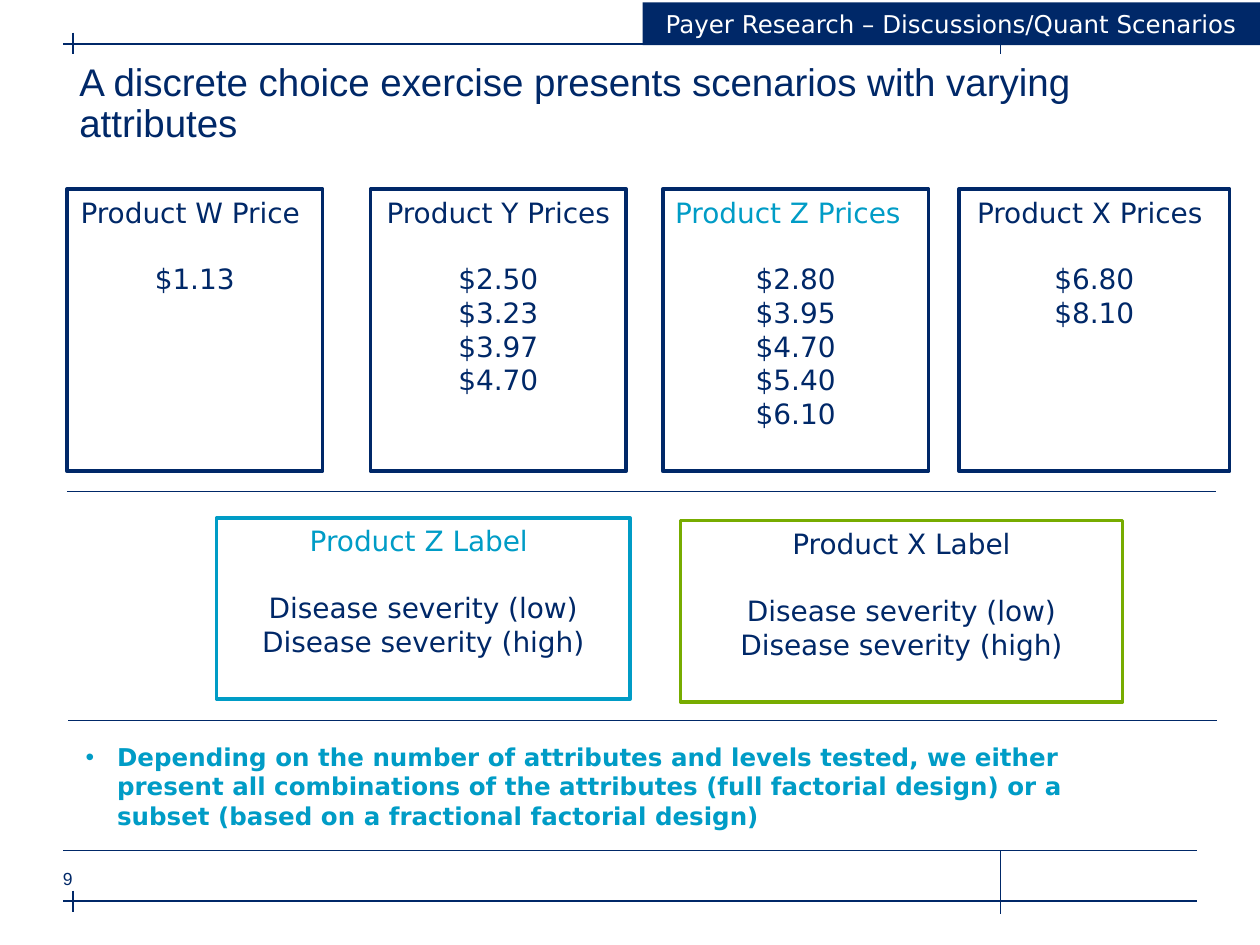
from dataclasses import dataclass

import pptx
import pptx.dml.color
import pptx.enum.shapes
import pptx.enum.text
import pptx.oxml
import pptx.util
from lxml import etree

Pt = pptx.util.Pt
RGB = pptx.dml.color.RGBColor.from_string
ALIGN = pptx.enum.text.PP_ALIGN
ANCHOR = pptx.enum.text.MSO_ANCHOR


@dataclass(frozen=True)
class Theme:
    """Colours, typefaces and sizes of the slide."""

    navy: str = "002868"
    cyan: str = "009CC6"
    green: str = "77AC00"
    white: str = "FFFFFF"
    heading_font: str = "Arial"
    body_font: str = "DejaVu Sans"
    title_size: float = 22
    card_size: float = 16
    note_size: float = 14
    number_size: float = 10


THEME = Theme()


def apply_format(target, values):
    """Set each attribute named in values on target."""
    for attribute, value in values.items():
        setattr(target, attribute, value)


def style_text(paragraph, text, size, color, font=THEME.body_font, bold=False, **layout):
    """Fill a paragraph with text and give it its type and layout."""
    paragraph.text = text
    apply_format(paragraph, layout)
    apply_format(paragraph.font, {"name": font, "size": Pt(size), "bold": bold})
    paragraph.font.color.rgb = RGB(color)


def set_frame(frame, inset_x=7.2, inset_y=3.6, anchor=ANCHOR.TOP):
    """Give a text frame its insets, wrapping and anchor."""
    apply_format(frame, {
        "word_wrap": True,
        "vertical_anchor": anchor,
        "margin_left": Pt(inset_x),
        "margin_right": Pt(inset_x),
        "margin_top": Pt(inset_y),
        "margin_bottom": Pt(inset_y),
    })


def add_rule(slide, x1, y1, x2, y2, width=0.75):
    """Draw a straight navy rule."""
    rule = slide.shapes.add_connector(
        pptx.enum.shapes.MSO_CONNECTOR.STRAIGHT, Pt(x1), Pt(y1), Pt(x2), Pt(y2))
    rule.line.width = Pt(width)
    rule.line.color.rgb = RGB(THEME.navy)
    etree.SubElement(rule._element.spPr, pptx.oxml.ns.qn("a:effectLst"))


def add_panel(slide, left, top, width, height):
    """Add a plain rectangle without shadow."""
    panel = slide.shapes.add_shape(
        pptx.enum.shapes.MSO_SHAPE.RECTANGLE, Pt(left), Pt(top), Pt(width), Pt(height))
    panel.shadow.inherit = False
    return panel


def add_card(slide, box, border, heading, levels, heading_color=THEME.navy,
             heading_align=ALIGN.CENTER):
    """Add an outlined card with a heading and its attribute levels."""
    card = add_panel(slide, *box)
    card.fill.background()
    card.line.width = Pt(2)
    card.line.color.rgb = RGB(border)
    frame = card.text_frame
    set_frame(frame)
    style_text(frame.paragraphs[0], heading, THEME.card_size, heading_color,
               alignment=heading_align)
    for index, level in enumerate(levels):
        style_text(frame.add_paragraph(), level, THEME.card_size, THEME.navy,
                   alignment=ALIGN.CENTER, space_before=Pt(0 if index else 19))


def add_banner(slide, text):
    """Add the filled section banner at the top right."""
    banner = add_panel(slide, 367.2, 1.4, 352.8, 24.5)
    banner.fill.solid()
    banner.fill.fore_color.rgb = RGB(THEME.navy)
    banner.line.fill.background()
    set_frame(banner.text_frame, anchor=ANCHOR.MIDDLE)
    style_text(banner.text_frame.paragraphs[0], text, THEME.note_size, THEME.white,
               alignment=ALIGN.CENTER)


def add_text(slide, box, text, size, color, inset=(0, 0), bullet=None, **style):
    """Add a text box holding one paragraph, bulleted on request."""
    frame = slide.shapes.add_textbox(*map(Pt, box)).text_frame
    set_frame(frame, *inset)
    paragraph = frame.paragraphs[0]
    if bullet:
        properties = paragraph._p.get_or_add_pPr()
        apply_bullet(properties, bullet, color)
    style_text(paragraph, text, size, color, **style)


def apply_bullet(properties, bullet, color):
    """Give paragraph properties a hanging coloured bullet."""
    properties.set("marL", str(Pt(18)))
    properties.set("indent", str(Pt(-18)))
    qn = pptx.oxml.ns.qn
    bullet_color = etree.SubElement(properties, qn("a:buClr"))
    etree.SubElement(bullet_color, qn("a:srgbClr"), val=color)
    etree.SubElement(properties, qn("a:buFont"), typeface=THEME.heading_font)
    etree.SubElement(properties, qn("a:buChar"), char=bullet)


def add_page_guides(slide):
    """Draw the header and footer rules with their tick marks."""
    for y in (25.2, 514.8, 486):
        add_rule(slide, 36, y, 684, y, 1)
    for x, top, bottom in ((41.8, 18.7, 31), (571.7, 18.7, 31),
                           (41.8, 509, 521.3), (571.7, 486, 522)):
        add_rule(slide, x, top, x, bottom)


def main():
    """Build the discrete choice slide and save it."""
    deck = pptx.Presentation()
    apply_format(deck, {"slide_width": Pt(720), "slide_height": Pt(540)})
    slide = deck.slides.add_slide(deck.slide_layouts[6])

    add_page_guides(slide)
    add_text(slide, (45.4, 36, 638.6, 82.8),
             "A discrete choice exercise presents scenarios with varying attributes",
             THEME.title_size, THEME.navy, font=THEME.heading_font, line_spacing=0.9)

    severities = ("Disease severity (low)", "Disease severity (high)")
    add_card(slide, (388.8, 297.4, 252.7, 103.7), THEME.green, "Product X Label", severities)
    add_card(slide, (123.8, 295.9, 236.2, 103.7), THEME.cyan, "Product Z Label ", severities,
             THEME.cyan)

    price_cards = (
        (547.9, 154.8, "Product X Prices ", ("$6.80", "$8.10"), {}),
        (38.2, 146.2, "Product W Price ", ("$1.13",), {}),
        (378.7, 151.9, "Product Z Prices", ("$2.80", "$3.95", "$4.70", "$5.40", "$6.10"),
         {"heading_color": THEME.cyan, "heading_align": ALIGN.LEFT}),
        (211.7, 146.2, "Product Y Prices ", ("$2.50", "$3.23", "$3.97", "$4.70"), {}),
    )
    for left, width, heading, prices, heading_style in price_cards:
        add_card(slide, (left, 108, width, 161.3), THEME.navy, heading, prices,
                 **heading_style)

    for left, y in ((38.2, 280.8), (38.9, 411.8)):
        add_rule(slide, left, y, left + 656.6, y)
    add_text(slide, (41.8, 420.5, 625, 57.6),
             "Depending on the number of attributes and levels tested, we either present all "
             "combinations of the attributes (full factorial design) or a subset (based on a "
             "fractional factorial design)",
             THEME.note_size, THEME.cyan, inset=(7.2, 3.6), bullet="•", bold=True)
    add_banner(slide, "Payer Research – Discussions/Quant Scenarios")
    add_text(slide, (36, 496.1, 36, 23.8), "9", THEME.number_size, THEME.navy,
             font=THEME.heading_font)

    deck.save("out.pptx")


if __name__ == "__main__":
    main()
